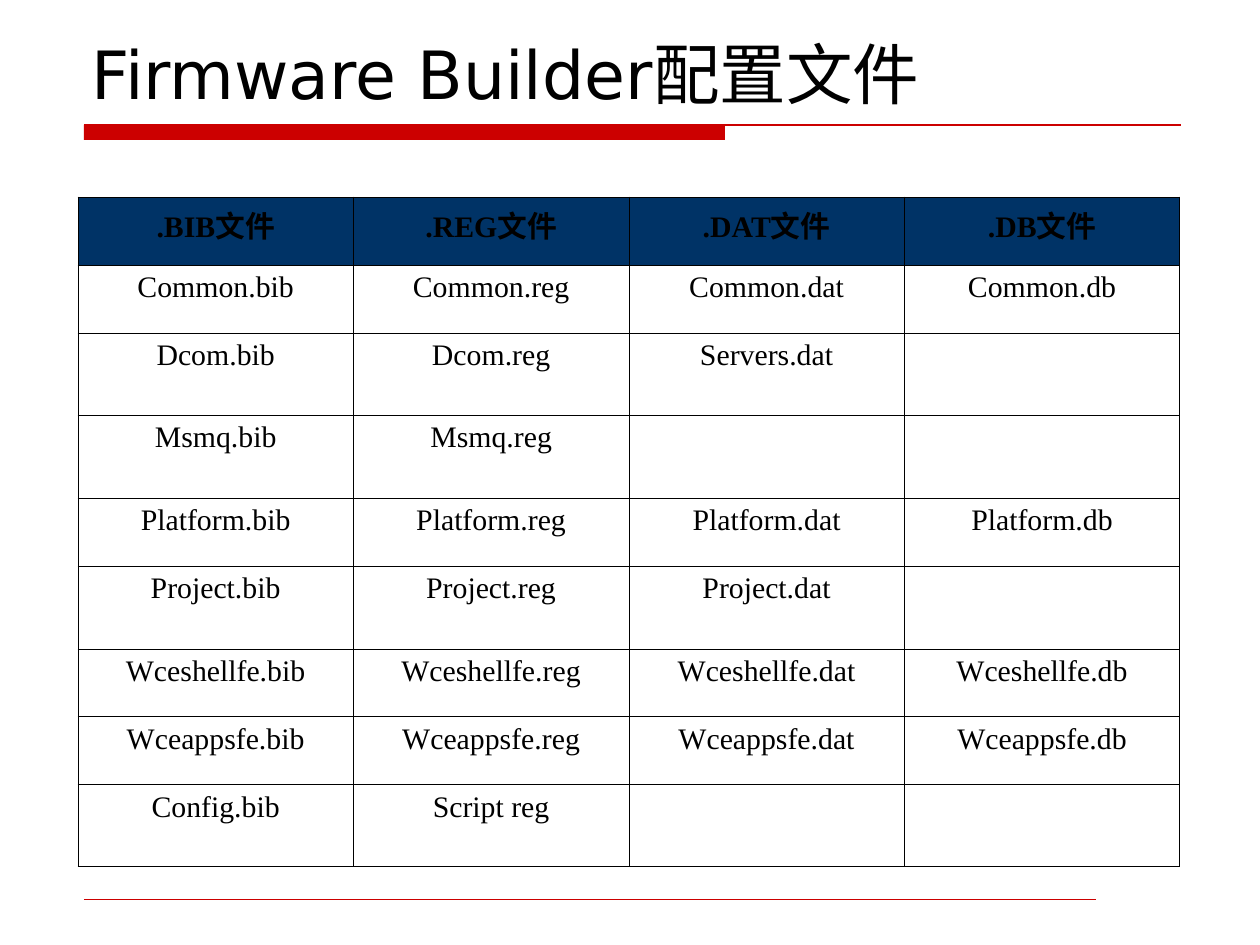
"""Build a slide that tabulates the configuration files by type."""
from dataclasses import dataclass

import lxml.etree
import pptx
import pptx.dml.color
import pptx.enum.shapes
import pptx.enum.text
import pptx.oxml.ns
import pptx.util

EMU_PER_PX = 914400 / 126


@dataclass(frozen=True)
class Theme:
    """Hold the colours, fonts and sizes in points."""
    text: str = "000000"
    accent: str = "CC0000"
    header: str = "003366"
    border: str = "000000"
    title_font: str = "DejaVu Sans"
    table_font: str = "Times New Roman"
    title_size: int = 38
    table_size: int = 17
    rule_width: float = 0.75
    footer_width: float = 0.25
    border_width: float = 0.45


THEME = Theme()
HEADINGS = [".BIB文件", ".REG文件", ".DAT文件", ".DB文件"]
FILE_ROWS = [
    ["Common.bib", "Common.reg", "Common.dat", "Common.db"],
    ["Dcom.bib", "Dcom.reg", "Servers.dat", ""],
    ["Msmq.bib", "Msmq.reg", "", ""],
    ["Platform.bib", "Platform.reg", "Platform.dat", "Platform.db"],
    ["Project.bib", "Project.reg", "Project.dat", ""],
    ["Wceshellfe.bib", "Wceshellfe.reg", "Wceshellfe.dat", "Wceshellfe.db"],
    ["Wceappsfe.bib", "Wceappsfe.reg", "Wceappsfe.dat", "Wceappsfe.db"],
    ["Config.bib", "Script reg", "", ""],
]
ROW_HEIGHTS = [68, 68, 82, 83, 68, 83, 68, 68, 82]


def px(length):
    """Turn pixels into EMU."""
    return pptx.util.Emu(round(length * EMU_PER_PX))


def rgb(value):
    """Turn a hex string into a colour."""
    return pptx.dml.color.RGBColor.from_string(value)


def write_text(frame, text, *, font, size, bold=False, align="LEFT", anchor="TOP"):
    """Write one formatted paragraph into a text frame."""
    frame.vertical_anchor = pptx.enum.text.MSO_ANCHOR[anchor]
    frame.word_wrap = True
    paragraph = frame.paragraphs[0]
    paragraph.alignment = pptx.enum.text.PP_ALIGN[align]
    run = paragraph.add_run()
    run.text = text
    run.font.name = font
    run.font.size = pptx.util.Pt(size)
    run.font.bold = bold
    run.font.color.rgb = rgb(THEME.text)


def add_title(slide, text):
    """Place and fill the title placeholder."""
    title = slide.shapes.title
    title.left, title.top, title.width, title.height = map(px, (79, 16, 1103, 103))
    title.text_frame.auto_size = pptx.enum.text.MSO_AUTO_SIZE.NONE
    write_text(title.text_frame, text, font=THEME.title_font,
               size=THEME.title_size, anchor="BOTTOM")


def add_bar(slide, left, top, width, height):
    """Add a plain accent bar."""
    bar = slide.shapes.add_shape(pptx.enum.shapes.MSO_SHAPE.RECTANGLE,
                                 *map(px, (left, top, width, height)))
    bar.shadow.inherit = False
    bar.fill.solid()
    bar.fill.fore_color.rgb = rgb(THEME.accent)
    bar.line.fill.background()


def add_rule(slide, left, right, top, width):
    """Add a horizontal accent line."""
    rule = slide.shapes.add_connector(pptx.enum.shapes.MSO_CONNECTOR.STRAIGHT,
                                      *map(px, (left, top, right, top)))
    rule.line.color.rgb = rgb(THEME.accent)
    rule.line.width = pptx.util.Pt(width)
    lxml.etree.SubElement(rule._element.spPr, pptx.oxml.ns.qn("a:effectLst"))


def set_borders(cell):
    """Draw all four borders of a cell."""
    qn = pptx.oxml.ns.qn
    properties = cell._tc.get_or_add_tcPr()
    for position, side in enumerate(("lnL", "lnR", "lnT", "lnB")):
        line = lxml.etree.Element(qn(f"a:{side}"))
        line.set("w", str(pptx.util.Pt(THEME.border_width)))
        fill = lxml.etree.SubElement(line, qn("a:solidFill"))
        lxml.etree.SubElement(fill, qn("a:srgbClr")).set("val", THEME.border)
        properties.insert(position, line)


def add_file_table(slide, rows, left, top, width):
    """Add the table of files with a dark heading row."""
    columns = len(rows[0])
    frame = slide.shapes.add_table(len(rows), columns, px(left), px(top),
                                   px(width), px(sum(ROW_HEIGHTS)))
    table = frame.table
    table.first_row = table.horz_banding = False
    for column in table.columns:
        column.width = px(width / columns)
    for row_index, (texts, height) in enumerate(zip(rows, ROW_HEIGHTS)):
        table.rows[row_index].height = px(height)
        heading = row_index == 0
        for column_index, text in enumerate(texts):
            cell = table.cell(row_index, column_index)
            if heading:
                cell.fill.solid()
                cell.fill.fore_color.rgb = rgb(THEME.header)
            else:
                cell.fill.background()
            set_borders(cell)
            if text:
                write_text(cell.text_frame, text, font=THEME.table_font,
                           size=THEME.table_size, bold=heading, align="CENTER")


def main():
    """Build and save the presentation."""
    presentation = pptx.Presentation()
    presentation.slide_width, presentation.slide_height = px(1260), px(945)
    slide = presentation.slides.add_slide(presentation.slide_layouts[5])
    add_bar(slide, 84, 125, 641, 15)
    add_rule(slide, 84, 1181, 125, THEME.rule_width)
    add_rule(slide, 84, 1096, 899, THEME.footer_width)
    add_title(slide, "Firmware Builder配置文件")
    add_file_table(slide, [HEADINGS, *FILE_ROWS], 78, 197, 1102)
    presentation.save("out.pptx")


if __name__ == "__main__":
    main()
